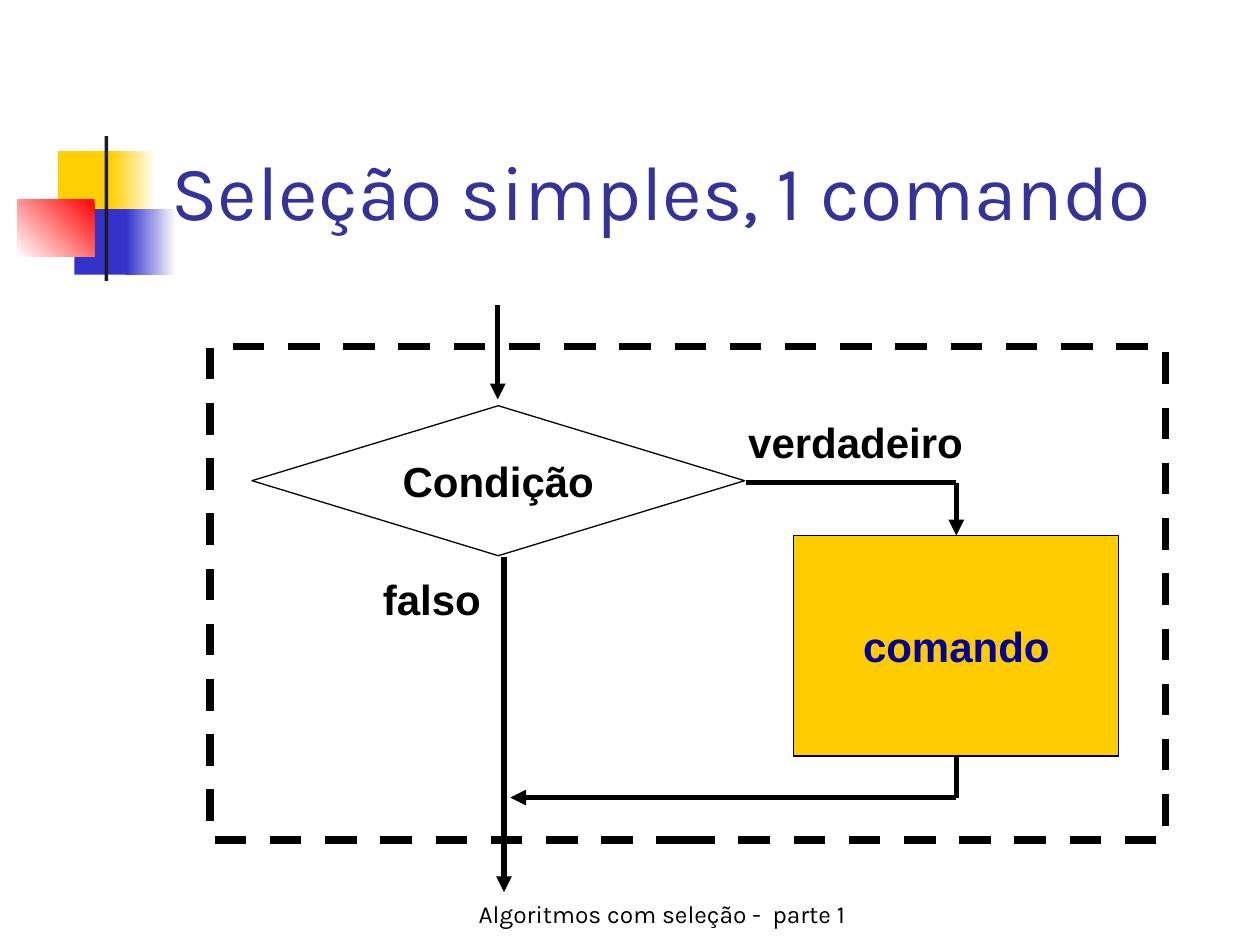
from dataclasses import dataclass

from lxml import etree
from pptx import Presentation
from pptx.dml.color import RGBColor
from pptx.enum import dml, shapes, text
from pptx.oxml.ns import qn
from pptx.util import Inches, Pt


@dataclass(frozen=True)
class Theme:
    black: str = "000000"
    white: str = "FFFFFF"
    gold: str = "FFCF01"
    amber: str = "FFCC00"
    blue: str = "3333CC"
    red: str = "FF0000"
    bar: str = "1C1C1C"
    navy: str = "000099"
    indigo: str = "333399"
    head: str = "Karla"
    body: str = "Arial"
    title: int = 44
    label: int = 24
    foot: int = 14
    thin: float = 0.75
    flow: float = 3
    frame: float = 4.5


T = Theme()
KIND = shapes.MSO_SHAPE
ALIGN = text.PP_ALIGN
ANCHOR = text.MSO_ANCHOR


def rgb(code):
    return RGBColor.from_string(code)


def write(shape, words, size, font, color, bold=False, align=ALIGN.LEFT,
          anchor=ANCHOR.TOP, wrap=False):
    frame = shape.text_frame
    frame.word_wrap = wrap
    frame.auto_size = text.MSO_AUTO_SIZE.NONE
    frame.vertical_anchor = anchor
    para = frame.paragraphs[0]
    para.alignment = align
    run = para.add_run()
    run.text = words
    run.font.size = Pt(size)
    run.font.name = font
    run.font.bold = bold
    run.font.color.rgb = rgb(color)


def add_block(slide, box, fill=None, kind=KIND.RECTANGLE, width=0):
    """Add a plain shape; without a width it has no outline."""
    shape = slide.shapes.add_shape(kind, *map(Inches, box))
    shape.shadow.inherit = False
    if fill:
        shape.fill.solid()
        shape.fill.fore_color.rgb = rgb(fill)
    else:
        shape.fill.background()
    if width:
        shape.line.width = Pt(width)
        shape.line.color.rgb = rgb(T.black)
    else:
        shape.line.fill.background()
    return shape


def add_fade(slide, box, start, end, angle):
    """Add a two-colour gradient block; the angle runs counter-clockwise."""
    fill = add_block(slide, box).fill
    fill.gradient()
    fill.gradient_angle = angle
    for stop, place, color in zip(fill.gradient_stops, (0, 1), (start, end)):
        stop.position = place
        stop.color.rgb = rgb(color)


def add_label(slide, box, words):
    shape = slide.shapes.add_textbox(*map(Inches, box))
    write(shape, words, T.label, T.body, T.black, bold=True)


def add_flow(slide, start, end, arrow=True):
    line = slide.shapes.add_connector(
        shapes.MSO_CONNECTOR.STRAIGHT, *map(Inches, start + end))
    line.line.width = Pt(T.flow)
    line.line.color.rgb = rgb(T.black)
    if arrow:
        etree.SubElement(line.line._get_or_add_ln(), qn("a:tailEnd"),
                         type="triangle")
    etree.SubElement(line._element.spPr, qn("a:effectLst"))
    return line


def add_motif(slide):
    add_block(slide, (0.46, 1.2, 0.48, 0.52), T.gold)
    add_fade(slide, (0.88, 1.2, 0.36, 0.52), T.white, T.gold, 180)
    add_block(slide, (0.59, 1.66, 0.46, 0.52), T.blue)
    add_fade(slide, (1, 1.66, 0.4, 0.52), T.white, T.blue, 180)
    add_fade(slide, (0.14, 1.58, 0.61, 0.46), T.red, T.white, 225)
    add_block(slide, (0.83, 1.08, 0.03, 1.15), T.bar)


def add_chart_flow(slide):
    """Draw the condition, its two branches and the dashed frame."""
    mid, turn, join = 7.59, 3.83, 6.33
    test = add_block(slide, (2, 3.22, 3.91, 1.19), T.white, KIND.DIAMOND, T.thin)
    write(test, "Condição", T.label, T.body, T.black, True,
          ALIGN.CENTER, ANCHOR.MIDDLE)
    add_label(slide, (5.84, 3.26, 1.9, 0.5), "verdadeiro")
    add_label(slide, (2.94, 4.5, 0.98, 0.5), "falso")
    step = add_block(slide, (6.3, 4.25, 2.58, 1.75), T.amber, width=T.thin)
    write(step, "comando", T.label, T.body, T.navy, True,
          ALIGN.CENTER, ANCHOR.MIDDLE)

    add_flow(slide, (5.92, turn), (mid, turn), arrow=False)
    add_flow(slide, (mid, turn), (mid, 4.25)).end_connect(step, 0)
    add_flow(slide, (mid, join), (4.05, join))
    frame = add_block(slide, (1.67, 2.75, 7.58, 3.92), width=T.frame)
    frame.line.dash_style = dml.MSO_LINE.DASH
    add_flow(slide, (3.95, 2.42), (3.95, 3.17))
    add_flow(slide, (4, 4.42), (4, 7.08))
    add_flow(slide, (mid, 6), (mid, join), arrow=False).begin_connect(step, 2)


def add_title(slide, words):
    title = slide.shapes.title
    title.left, title.top = Inches(1.26), Inches(0.67)
    title.width, title.height = Inches(8.52), Inches(1.25)
    write(title, words, T.title, T.head, T.indigo,
          anchor=ANCHOR.BOTTOM, wrap=True)
    slide.shapes._spTree.append(title._element)  # bring to the front


def add_foot(slide, words):
    foot = slide.shapes.add_textbox(*map(Inches, (3.67, 6.92, 3.17, 0.5)))
    write(foot, words, T.foot, T.head, T.black, align=ALIGN.CENTER,
          anchor=ANCHOR.BOTTOM, wrap=True)


def main():
    deck = Presentation()
    deck.slide_width, deck.slide_height = Inches(10), Inches(7.5)
    slide = deck.slides.add_slide(deck.slide_layouts[5])
    add_motif(slide)
    add_chart_flow(slide)
    add_title(slide, "Seleção simples, 1 comando")
    add_foot(slide, "Algoritmos com seleção -  parte 1")
    deck.save("out.pptx")


if __name__ == "__main__":
    main()
